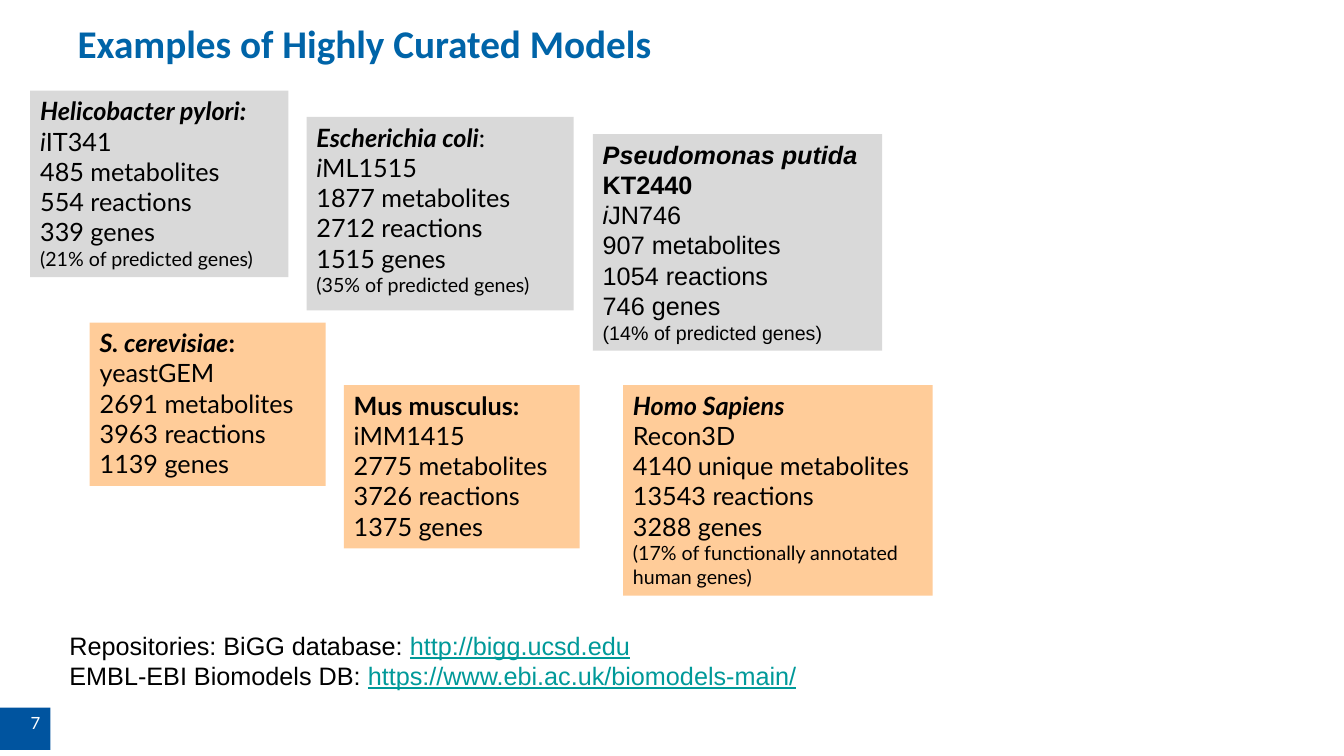
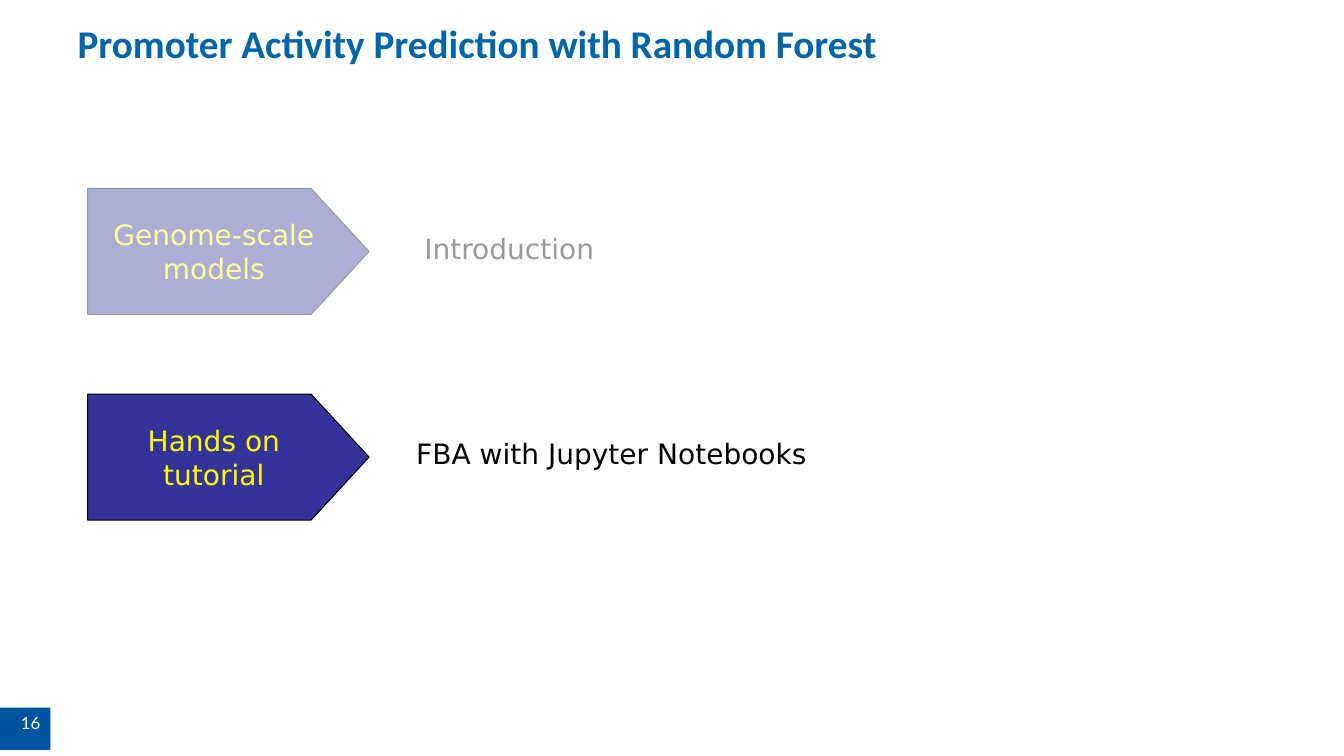
import pptx
import pptx.util
import pptx.dml.color
import pptx.enum.shapes
import pptx.enum.text
import pptx.oxml
import pptx.oxml.ns

Inches = pptx.util.Inches
Pt = pptx.util.Pt
RGBColor = pptx.dml.color.RGBColor
SHAPE = pptx.enum.shapes.MSO_SHAPE
ALIGN = pptx.enum.text.PP_ALIGN
ANCHOR = pptx.enum.text.MSO_ANCHOR
AUTO_SIZE = pptx.enum.text.MSO_AUTO_SIZE

TITLE_BLUE = RGBColor(0x00, 0x64, 0xA8)
BAND_BLUE = RGBColor(0x00, 0x54, 0x9F)
ARROW_BLUE = RGBColor(0x33, 0x33, 0x99)
GREY = RGBColor(0xD9, 0xD9, 0xD9)
ORANGE = RGBColor(0xFF, 0xCC, 0x99)
TEAL = RGBColor(0x00, 0x99, 0x99)
YELLOW = RGBColor(0xFF, 0xFF, 0x00)
BLACK = RGBColor(0, 0, 0)
WHITE = RGBColor(0xFF, 0xFF, 0xFF)

MODELS = [
    ((0.3, 0.9, 2.56, 1.85), GREY, "Lato",
     [("Helicobacter pylori:", "bi")], [("i", "i"), ("IT341", "")],
     ["485 metabolites", "554 reactions", "339 genes"],
     "(21% of predicted genes)"),
    ((3.04, 1.16, 2.65, 1.92), GREY, "Lato",
     [("Escherichia coli", "bi"), (":", "")], [("i", "i"), ("ML1515", "")],
     ["1877 metabolites", "2712 reactions", "1515 genes"],
     "(35% of predicted genes)"),
    ((5.88, 1.33, 2.87, 2.15), GREY, "Arial",
     [("Pseudomonas putida", "bi"), (" KT2440", "b")],
     [("i", "i"), ("JN746", "")],
     ["907 metabolites", "1054 reactions", "746 genes"],
     "(14% of predicted genes)"),
    ((0.89, 3.2, 2.34, 1.62), ORANGE, "Lato",
     [("S. cerevisiae", "bi"), (":", "b")], [("yeastGEM", "")],
     ["2691 metabolites", "3963 reactions", "1139 genes"], None),
    ((3.41, 3.82, 2.34, 1.62), ORANGE, "Lato",
     [("Mus musculus:", "b")], [("iMM1415", "")],
     ["2775 metabolites", "3726 reactions", "1375 genes"], None),
    ((6.18, 3.82, 3.07, 2.09), ORANGE, "Lato",
     [("Homo Sapiens", "bi")], [("Recon3D", "")],
     ["4140 unique metabolites", "13543 reactions", "3288 genes"],
     "(17% of functionally annotated human genes)"),
]

REPOSITORIES = [
    ("Repositories: BiGG database: ", "http://bigg.ucsd.edu"),
    ("EMBL-EBI Biomodels DB: ", "https://www.ebi.ac.uk/biomodels-main/"),
]

STEPS = [
    (1.87, "Genome-scale models", 4.11, "Introduction"),
    (3.91, "Hands on tutorial", 4.03, "FBA with Jupyter Notebooks"),
]


def add_run(p, text, font, size, color=BLACK, style=""):
    r = p.add_run()
    r.text = text
    r.font.name = font
    r.font.size = Pt(size)
    r.font.color.rgb = color
    r.font.bold = "b" in style
    r.font.italic = "i" in style
    r.font.underline = "u" in style


def add_paragraph(tf, first, align=ALIGN.LEFT):
    p = tf.paragraphs[0] if first else tf.add_paragraph()
    p.alignment = align
    return p


def add_shape(slide, kind, box, fill, anchor=ANCHOR.TOP):
    sp = slide.shapes.add_shape(kind, *map(Inches, box))
    sp.shadow.inherit = False
    sp.fill.solid()
    sp.fill.fore_color.rgb = fill
    sp.line.fill.background()
    sp.text_frame.word_wrap = True
    sp.text_frame.vertical_anchor = anchor
    return sp


def add_text_box(slide, box):
    tf = slide.shapes.add_textbox(*map(Inches, box)).text_frame
    tf.word_wrap = True
    return tf


def add_slide(prs, title, number):
    slide = prs.slides.add_slide(prs.slide_layouts[5])
    tf = slide.shapes.title.text_frame
    tf.auto_size = AUTO_SIZE.NONE
    tf.vertical_anchor = ANCHOR.TOP
    add_run(add_paragraph(tf, True), title, "Calibri", 28, TITLE_BLUE, "b")
    band = add_shape(slide, SHAPE.RECTANGLE, (0, 7.02, 0.5, 0.42), BAND_BLUE)
    p = add_paragraph(band.text_frame, True, ALIGN.RIGHT)
    add_run(p, number, "Lato", 12, WHITE)
    return slide


def add_model(slide, box, fill, font, species, model, counts, share):
    tf = add_shape(slide, SHAPE.RECTANGLE, box, fill).text_frame
    lines = [species, model] + [[(count, "")] for count in counts]
    for i, line in enumerate(lines):
        p = add_paragraph(tf, i == 0)
        for text, style in line:
            add_run(p, text, font, 18, style=style)
    if share:
        add_run(add_paragraph(tf, False), share, font, 14)


def add_repositories(slide):
    tf = add_text_box(slide, (0.59, 6.2, 7.55, 0.71))
    for i, (label, address) in enumerate(REPOSITORIES):
        p = add_paragraph(tf, i == 0)
        add_run(p, label, "Arial", 18)
        add_run(p, address, "Arial", 18, TEAL, "u")


def add_step(slide, top, label, topic_left, topic):
    sp = add_shape(slide, SHAPE.PENTAGON, (0.87, top, 2.79, 1.25),
                   ARROW_BLUE, ANCHOR.MIDDLE)
    sp.adjustments[0] = 0.46
    sp.line.color.rgb = BLACK
    sp.line.width = Pt(0.75)
    p = add_paragraph(sp.text_frame, True, ALIGN.CENTER)
    add_run(p, label, "DejaVu Sans", 20, YELLOW)
    tf = add_text_box(slide, (topic_left, top + 0.44, 5.15, 0.37))
    p = add_paragraph(tf, True)
    p.line_spacing = 0.8
    add_run(p, topic, "DejaVu Sans", 20)


def add_veil(slide, box, opacity):
    sp = add_shape(slide, SHAPE.RECTANGLE, box, WHITE)
    color = sp.fill._xPr.find(".//" + pptx.oxml.ns.qn("a:srgbClr"))
    alpha = pptx.oxml.parse_xml(
        f'<a:alpha {pptx.oxml.ns.nsdecls("a")} val="{opacity * 1000}"/>')
    color.append(alpha)


def set_up_presentation():
    prs = pptx.Presentation()
    prs.slide_width = Inches(13.33)
    prs.slide_height = Inches(7.5)
    title = prs.slide_layouts[5].placeholders[0]
    title.left, title.top, title.width, title.height = map(
        Inches, (0.67, 0.14, 11.99, 0.88))
    return prs


def main():
    prs = set_up_presentation()

    slide = add_slide(prs, "Examples of Highly Curated Models", "7")
    for model in MODELS:
        add_model(slide, *model)
    add_repositories(slide)

    slide = add_slide(
        prs, "Promoter Activity Prediction with Random Forest", "16")
    for step in STEPS:
        add_step(slide, *step)
    add_veil(slide, (0.71, 1.27, 8.94, 2.54), 60)

    prs.save("out.pptx")


if __name__ == "__main__":
    main()
